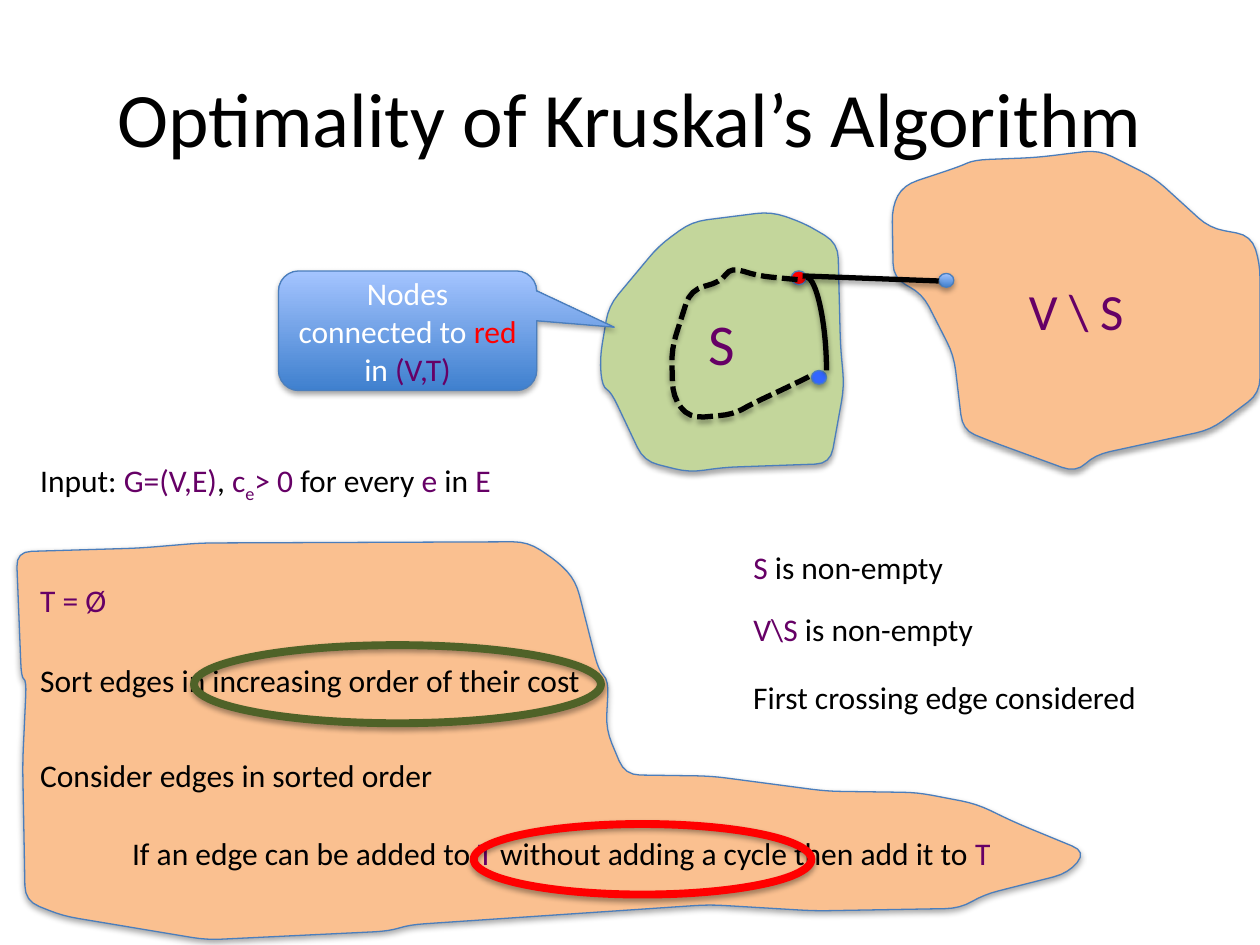
from dataclasses import dataclass
from itertools import chain
from math import dist

from lxml.etree import SubElement
from pptx import Presentation
from pptx.dml.color import RGBColor
from pptx.enum.dml import MSO_LINE
from pptx.enum.shapes import MSO_CONNECTOR, MSO_SHAPE
from pptx.enum.text import MSO_ANCHOR, MSO_AUTO_SIZE, PP_ALIGN
from pptx.oxml.ns import qn
from pptx.util import Inches, Pt


@dataclass(frozen=True)
class Theme:
    font: str = "Calibri"
    ink: str = "000000"
    white: str = "FFFFFF"
    purple: str = "660066"
    red: str = "FF0000"
    blue: str = "3366FF"
    olive: str = "4F6228"
    orange: str = "FAC090"
    green: str = "C3D69B"
    outline: str = "4B7EBC"
    gradient: tuple = ("3F80CE", "A4C4FF")
    title_size: int = 44
    set_size: int = 33
    complement_size: int = 29
    body_size: int = 18
    thin: float = 0.75
    edge: float = 3
    ring: float = 4.5


THEME = Theme()
INK, PURPLE, RED, WHITE = THEME.ink, THEME.purple, THEME.red, THEME.white
COLUMNS, ROWS = 100, 75

TITLE = "Optimality of Kruskal’s Algorithm"
CALLOUT = [("Nodes connected to ", WHITE), ("red", RED), (" in ", WHITE), ("(V,T)", PURPLE)]

INPUT_COLUMN, STEP_COLUMN, CLAIM_COLUMN = 2.2, 9.5, 58.8
STATEMENTS = [
    (INPUT_COLUMN, 36.1, 38.1, [("Input: ", INK), ("G=(V,E)", PURPLE), (", ", INK), ("c", PURPLE),
                                ("e", PURPLE, "subscript"), ("> 0 ", PURPLE), ("for every ", INK),
                                ("e", PURPLE), (" in ", INK), ("E", PURPLE)]),
    (INPUT_COLUMN, 45.6, 7.3, [("T = Ø", PURPLE)]),
    (INPUT_COLUMN, 52, 45.3, [("Sort edges in increasing order of their cost", INK)]),
    (INPUT_COLUMN, 59.5, 33.5, [("Consider edges in sorted order", INK)]),
    (STEP_COLUMN, 65.7, 70.9, [("If an edge can be added to ", INK), ("T", PURPLE),
                               (" without adding a cycle then add it to ", INK), ("T", PURPLE)]),
    (CLAIM_COLUMN, 43, 17.2, [("S", PURPLE), (" is non-empty", INK)]),
    (CLAIM_COLUMN, 47.9, 20.2, [("V\\S", PURPLE), (" is non-empty", INK)]),
    (CLAIM_COLUMN, 53.3, 32.7, [("First crossing edge considered", INK)]),
]

COMPLEMENT_SIDES = {
    "left": [(76.2, 13.2), (71.7, 14.7), (70.8, 16.4), (70.9, 22.1), (73.2, 23.3), (75.7, 28.2), (76.4, 34.1)],
    "bottom": [(78.3, 34.9), (85.4, 37.5), (86.9, 36.1), (96.1, 34.1)],
    "right": [(100, 31.2), (100, 20.9), (99.3, 18.7)],
    "top": [(96, 18.1), (91.6, 14.1), (87.2, 11.9), (82.3, 12.5), (77.3, 12.7)],
}
ALGORITHM_SIDES = {
    "left": [(1.3, 43.8), (1.7, 53.8), (2.1, 54), (1.8, 60.6), (2, 71.5)],
    "bottom": [(5, 72.7), (16.4, 74.6), (30.9, 73.9), (32.5, 73.4), (56.3, 71.8), (64.7, 72.3), (76.2, 72.1)],
    "tip": [(78.1, 71), (84.8, 69.3), (86.2, 67.6), (80.6, 65.3), (77.5, 63.8), (72.8, 62.9)],
    "step": [(65.6, 62.8), (56.5, 61.6), (49.6, 61.5), (48.1, 57.9), (48.3, 54), (47.5, 53.2)],
    "top": [(45.7, 46.1), (44.3, 44.6), (41.9, 43), (15.9, 43.1), (11.2, 43.5)],
}
SET_SIDES = {
    "left": [(52.3, 19.5), (48.3, 24.3), (47.6, 28.5), (47.8, 30.7), (48.5, 31.1), (51.1, 36.6)],
    "bottom": [(54.7, 37.5), (57.4, 37.1), (65.9, 36.8)],
    "right": [(67, 30.7), (66.7, 27.4), (66.5, 19.3)],
    "top": [(63.8, 17.7), (61.2, 16.8), (54.9, 17.6)],
}
CYCLE_SIDES = {
    "top": [(63.3, 22.2), (60.1, 21.9), (58, 21.2), (57.2, 22.4)],
    "left": [(54.8, 23), (53.3, 27.7), (53.4, 31.5), (54.7, 33.2)],
    "bottom": [(58.2, 32.9), (59.6, 32.1), (63, 30.5), (64.2, 29.9)],
}
CORNER_RADIUS, CORNER_STEPS = 1.2, 4

NODE_SIZE = (1.2, 1.1)
NODES = {
    "red": (62.8, 21.5, RED),
    "outside": (74.5, 21.7, THEME.gradient),
    "inside": (64.4, 29.4, THEME.blue),
}
CROSSING_EDGE = (63.7, 21.9, 74.5, 22.3)
INSIDE_EDGE = (64, 22, 65.6, 29.4)
RINGS = {
    "no cycle": (37.6, 65.4, 26.8, 5.6, RED),
    "sorted cost": (15.4, 51.2, 32.3, 6.2, THEME.olive),
}

presentation = Presentation()
presentation.slide_width, presentation.slide_height = Inches(10), Inches(7.5)
slide = presentation.slides.add_slide(presentation.slide_layouts[5])
shapes = slide.shapes


def grid(*lengths):
    units = (presentation.slide_width / COLUMNS, presentation.slide_height / ROWS)
    return [int(length * units[index % 2]) for index, length in enumerate(lengths)]


def blend(start, end, share):
    return tuple(a + (b - a) * share for a, b in zip(start, end))


def toward(corner, neighbour):
    return blend(corner, neighbour, min(0.5, CORNER_RADIUS / dist(corner, neighbour)))


def round_corner(before, corner, after):
    entry, leave = toward(corner, before), toward(corner, after)
    shares = [step / CORNER_STEPS for step in range(CORNER_STEPS + 1)]
    return [blend(blend(entry, corner, share), blend(corner, leave, share), share) for share in shares]


def round_path(sides, close):
    corners = list(chain.from_iterable(sides.values()))
    if close:
        corners = [corners[-1], *corners, corners[0]]
    rounded = [point for trio in zip(corners, corners[1:], corners[2:]) for point in round_corner(*trio)]
    return rounded if close else [corners[0], *rounded, corners[-1]]


def add_shadow(shape, opacity=35):
    properties = shape._element.spPr
    effects = properties.find(qn("a:effectLst"))
    if effects is None:
        effects = SubElement(properties, qn("a:effectLst"))
    shadow = SubElement(effects, qn("a:outerShdw"), blurRad="40000", dist="23000",
                        dir="5400000", rotWithShape="0")
    color = SubElement(shadow, qn("a:srgbClr"), val=THEME.ink)
    SubElement(color, qn("a:alpha"), val=str(opacity * 1000))


def style_line(shape, color, width):
    shape.line.color.rgb = RGBColor.from_string(color)
    shape.line.width = Pt(width)


def style_shape(shape, fill, line=THEME.outline, width=THEME.thin):
    if fill is None:
        shape.fill.background()
    elif isinstance(fill, tuple):
        shape.fill.gradient()
        shape.fill.gradient_angle = 90
        for stop, color in zip(shape.fill.gradient_stops, fill):
            stop.color.rgb = RGBColor.from_string(color)
    else:
        shape.fill.solid()
        shape.fill.fore_color.rgb = RGBColor.from_string(fill)
    style_line(shape, line, width)
    shape.shadow.inherit = False
    add_shadow(shape)
    return shape


def write(shape, runs, size=THEME.body_size, alignment=PP_ALIGN.CENTER, anchor=MSO_ANCHOR.MIDDLE):
    shape.text_frame.vertical_anchor = anchor
    paragraph = shape.text_frame.paragraphs[0]
    paragraph.alignment = alignment
    paragraph.font.name, paragraph.font.size = THEME.font, Pt(size)
    for text, color, *script in runs:
        run = paragraph.add_run()
        run.text = text
        run.font.color.rgb = RGBColor.from_string(color)
        if script:
            run.font._element.set("baseline", "-25000")


def add_outline(sides, fill, close=True, **line):
    start, *rest = [grid(*point) for point in round_path(sides, close)]
    builder = shapes.build_freeform(*start, scale=1.0)
    builder.add_line_segments(rest, close=close)
    return style_shape(builder.convert_to_shape(), fill, **line)


def add_preset(preset, place, fill, **line):
    return style_shape(shapes.add_shape(preset, *grid(*place)), fill, **line)


def add_edge(kind, ends):
    edge = shapes.add_connector(kind, *grid(*ends))
    style_line(edge, INK, THEME.edge)
    add_shadow(edge, 38)
    return edge


complement = add_outline(COMPLEMENT_SIDES, THEME.orange)
write(complement, [("V \\ S", PURPLE)], THEME.complement_size)
add_outline(ALGORITHM_SIDES, THEME.orange)

title = shapes.title
title.left, title.top, title.width, title.height = grid(5, 3, 90, 12.5)
write(title, [(TITLE, INK)], THEME.title_size)
shapes._spTree.append(title._element)

for left, top, width, runs in STATEMENTS:
    box = shapes.add_textbox(*grid(left, top, width, 4))
    box.text_frame.word_wrap = False
    box.text_frame.auto_size = MSO_AUTO_SIZE.SHAPE_TO_FIT_TEXT
    write(box, runs, alignment=PP_ALIGN.LEFT, anchor=MSO_ANCHOR.TOP)

write(add_outline(SET_SIDES, THEME.green), [("S", PURPLE)], THEME.set_size)

for left, top, fill in NODES.values():
    add_preset(MSO_SHAPE.OVAL, (left, top, *NODE_SIZE), fill)

add_edge(MSO_CONNECTOR.STRAIGHT, CROSSING_EDGE)
bend = add_edge(MSO_CONNECTOR.CURVE, INSIDE_EDGE)
bend._element.spPr.find(qn("a:prstGeom")).set("prst", "curvedConnector2")

callout = add_preset(MSO_SHAPE.ROUNDED_RECTANGULAR_CALLOUT, (22.1, 21.5, 20.5, 9.5), THEME.gradient)
for index, adjustment in enumerate((0.8, -0.03, 0.17)):
    callout.adjustments[index] = adjustment
callout.text_frame.word_wrap = True
write(callout, CALLOUT)

cycle = add_outline(CYCLE_SIDES, None, close=False, line=INK, width=THEME.edge)
cycle.line.dash_style = MSO_LINE.SQUARE_DOT

for *place, color in RINGS.values():
    add_preset(MSO_SHAPE.OVAL, place, None, line=color, width=THEME.ring)

presentation.save("out.pptx")
